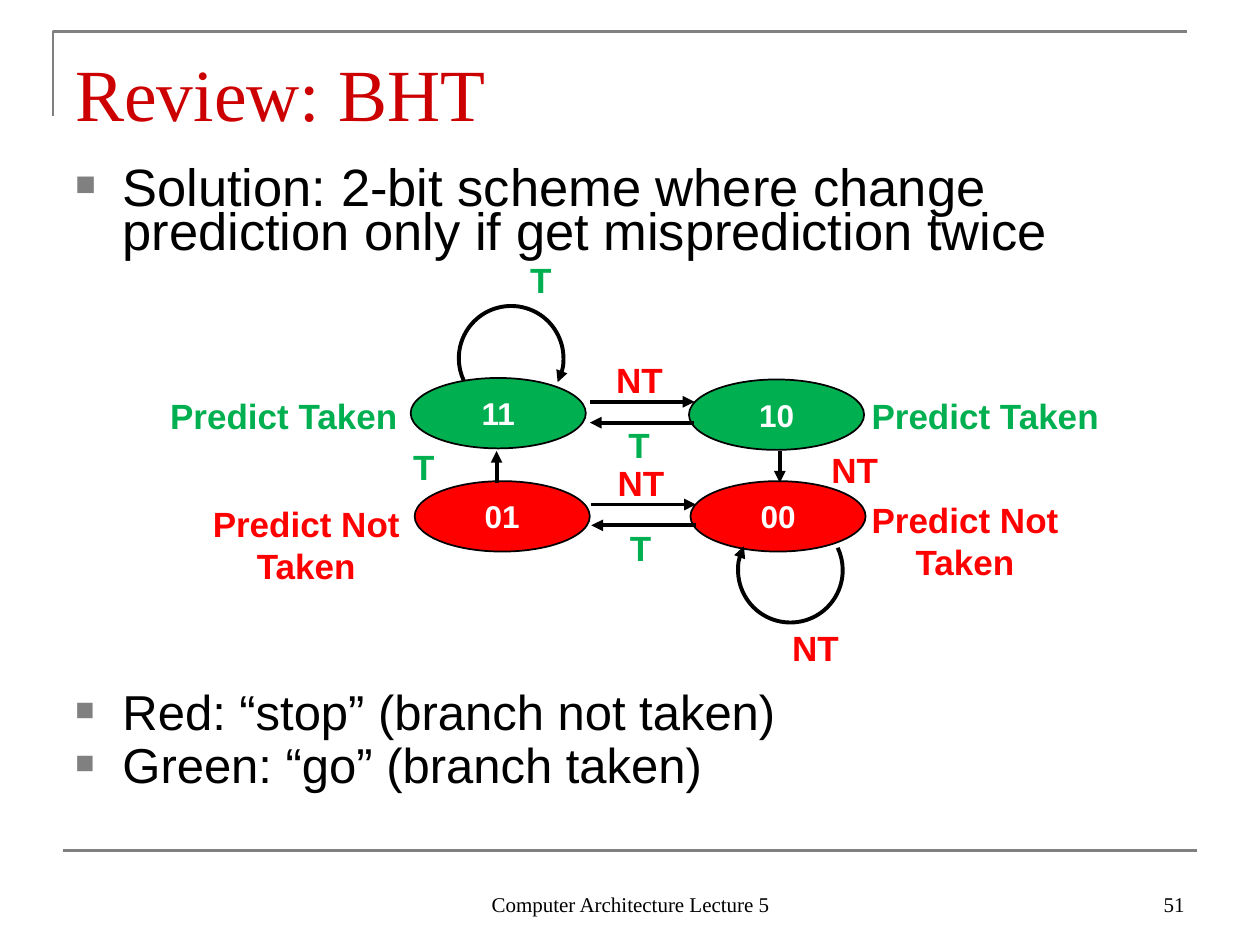
from lxml import etree
from pptx import Presentation
from pptx.dml.color import RGBColor
from pptx.enum import shapes, text
from pptx.oxml import ns
from pptx.util import Cm, Pt

GREEN, RED, BLACK, GRAY = "00B050", "FF0000", "000000", "808080"
LABEL_WIDTHS = {"T": 0.94, "NT": 1.45, "Predict Taken": 5.13, "Predict Not\nTaken": 4.47}
LOOP_SIZE = 2.11
ARROW_LENGTH = 2.11


def color(value):
    return RGBColor.from_string(value)


def add_child(parent, tag, **attributes):
    child = etree.SubElement(parent, ns.qn(tag))
    for name, value in attributes.items():
        child.set(name, value)
    return child


def add_bullet(paragraph):
    """Hanging gray square at 65% of the text size."""
    properties = paragraph._p.get_or_add_pPr()
    properties.set("marL", str(Cm(0.95)))
    properties.set("indent", str(Cm(-0.95)))
    add_child(add_child(properties, "a:buClr"), "a:srgbClr", val=GRAY)
    add_child(properties, "a:buSzPct", val="65000")
    add_child(properties, "a:buFont", typeface="Arial")
    add_child(properties, "a:buChar", char="■")


def write(frame, content, size=20, font="Arial", fill=BLACK, bold=False,
          align=text.PP_ALIGN.LEFT, bullet=False, spacing=None, before=0):
    for index, line in enumerate(content.split("\n")):
        paragraph = frame.add_paragraph() if index else frame.paragraphs[0]
        if bullet:
            add_bullet(paragraph)
        paragraph.alignment = align
        paragraph.line_spacing = spacing
        if index and before:
            paragraph.space_before = Pt(before)
        run = paragraph.add_run()
        run.text = line
        run.font.size, run.font.name, run.font.bold = Pt(size), font, bold
        run.font.color.rgb = color(fill)


def add_text(slide, content, left, top, width, height, wrap=True,
             anchor=text.MSO_ANCHOR.TOP, inset_top=0.13, inset_bottom=0.13, **style):
    frame = slide.shapes.add_textbox(Cm(left), Cm(top), Cm(width), Cm(height)).text_frame
    frame.word_wrap = wrap
    frame.vertical_anchor = anchor
    frame.margin_top, frame.margin_bottom = Cm(inset_top), Cm(inset_bottom)
    write(frame, content, **style)


def add_label(slide, content, left, top, fill):
    height = 1.93 if "\n" in content else 1.09
    align = text.PP_ALIGN.CENTER if "\n" in content else text.PP_ALIGN.LEFT
    add_text(slide, content, left, top, LABEL_WIDTHS[content], height,
             wrap=False, fill=fill, bold=True, align=align)


def add_bullets(slide, content, top, height, size):
    add_text(slide, content, 1.27, top, 22.86, height, size=size, inset_top=0.28,
             bullet=True, spacing=0.7, before=7)


def set_line(shape, fill, width, arrow=False):
    shape.line.color.rgb = color(fill)
    shape.line.width = Pt(width)
    if arrow:
        add_child(shape.line._get_or_add_ln(), "a:tailEnd", type="triangle")


def add_line(slide, x1, y1, x2, y2, fill=BLACK, width=2.25, arrow=True):
    line = slide.shapes.add_connector(
        shapes.MSO_CONNECTOR.STRAIGHT, Cm(x1), Cm(y1), Cm(x2), Cm(y2))
    set_line(line, fill, width, arrow)
    add_child(line._element.spPr, "a:effectLst")


def add_corner(slide):
    """Bracket around the upper left of the title."""
    builder = slide.shapes.build_freeform(Cm(1.07), Cm(2.34))
    builder.add_line_segments([(Cm(1.07), Cm(0.64)), (Cm(23.93), Cm(0.64))], close=False)
    corner = builder.convert_to_shape()
    corner.shadow.inherit = False
    corner.fill.background()
    set_line(corner, GRAY, 1.5)


def add_state(slide, bits, left, top, fill):
    state = slide.shapes.add_shape(
        shapes.MSO_SHAPE.OVAL, Cm(left), Cm(top), Cm(3.53), Cm(1.42))
    state.shadow.inherit = False
    state.fill.solid()
    state.fill.fore_color.rgb = color(fill)
    set_line(state, BLACK, 1)
    state.text_frame.vertical_anchor = text.MSO_ANCHOR.MIDDLE
    write(state.text_frame, bits, size=18, fill="FFFFFF", bold=True,
          align=text.PP_ALIGN.CENTER)


def add_loop(slide, left, top, start, end):
    """Clockwise arc from start to end, in degrees, with an arrowhead."""
    loop = slide.shapes.add_shape(
        shapes.MSO_SHAPE.ARC, Cm(left), Cm(top), Cm(LOOP_SIZE), Cm(LOOP_SIZE))
    loop.shadow.inherit = False
    loop.fill.background()
    for index, angle in enumerate((start, end)):
        loop.adjustments[index] = angle * 60000 / 100000
    set_line(loop, BLACK, 2.25, arrow=True)


def add_exchange(slide, left, top):
    """Not-taken arrow to the right above a taken arrow to the left."""
    right, lower = left + ARROW_LENGTH, top + 0.42
    add_line(slide, left, top, right, top)
    add_line(slide, right, lower, left, lower)
    add_label(slide, "NT", left + 0.28, top - 1, RED)
    add_label(slide, "T", left + 0.53, top + 0.31, GREEN)


def add_state_diagram(slide):
    for bits, left, top, fill in (("11", 8.28, 7.62, GREEN), ("10", 13.89, 7.65, GREEN),
                                  ("01", 8.36, 9.7, RED), ("00", 13.92, 9.7, RED)):
        add_state(slide, bits, left, top, fill)
    add_loop(slide, 9.25, 6.17, 154.7, 27.2)
    add_loop(slide, 14.88, 10.44, 334.7, 207.2)
    add_exchange(slide, 11.89, 8.1)
    add_exchange(slide, 11.92, 10.17)
    add_line(slide, 10.01, 9.73, 10.01, 9.09)
    add_line(slide, 15.72, 9.09, 15.72, 9.73)
    for content, left, top, fill in (
            ("T", 10.44, 5.08, GREEN), ("T", 8.08, 8.86, GREEN),
            ("NT", 16.51, 8.92, RED), ("NT", 15.72, 12.5, RED),
            ("Predict Taken", 3.18, 7.82, GREEN), ("Predict Taken", 17.32, 7.82, GREEN),
            ("Predict Not\nTaken", 3.94, 10.01, RED),
            ("Predict Not\nTaken", 17.22, 9.91, RED)):
        add_label(slide, content, left, top, fill)


def add_footer(slide):
    add_line(slide, 1.27, 17.15, 24.13, 17.15, fill=GRAY, width=1.5, arrow=False)
    for content, left, width, align in (
            ("Computer Architecture Lecture 5", 8.69, 8.05, text.PP_ALIGN.CENTER),
            ("51", 18.21, 5.92, text.PP_ALIGN.RIGHT)):
        add_text(slide, content, left, 17.35, width, 1.27, size=12,
                 font="Times New Roman", align=align, anchor=text.MSO_ANCHOR.BOTTOM)


def main():
    presentation = Presentation()
    presentation.slide_width, presentation.slide_height = Cm(25.4), Cm(19.05)
    slide = presentation.slides.add_slide(presentation.slide_layouts[6])
    add_corner(slide)
    add_footer(slide)
    add_text(slide, "Review: BHT", 1.27, 0.76, 22.86, 1.98, size=42, fill="CC0000",
             font="Times New Roman", anchor=text.MSO_ANCHOR.BOTTOM, inset_bottom=0)
    add_bullets(slide, "Solution: 2-bit scheme where change prediction only "
                       "if get misprediction twice", 3.17, 2.4, 30)
    add_bullets(slide, "Red: “stop” (branch not taken)\nGreen: “go” (branch taken)",
                13.78, 3.24, 28)
    add_state_diagram(slide)
    presentation.save("out.pptx")


if __name__ == "__main__":
    main()
